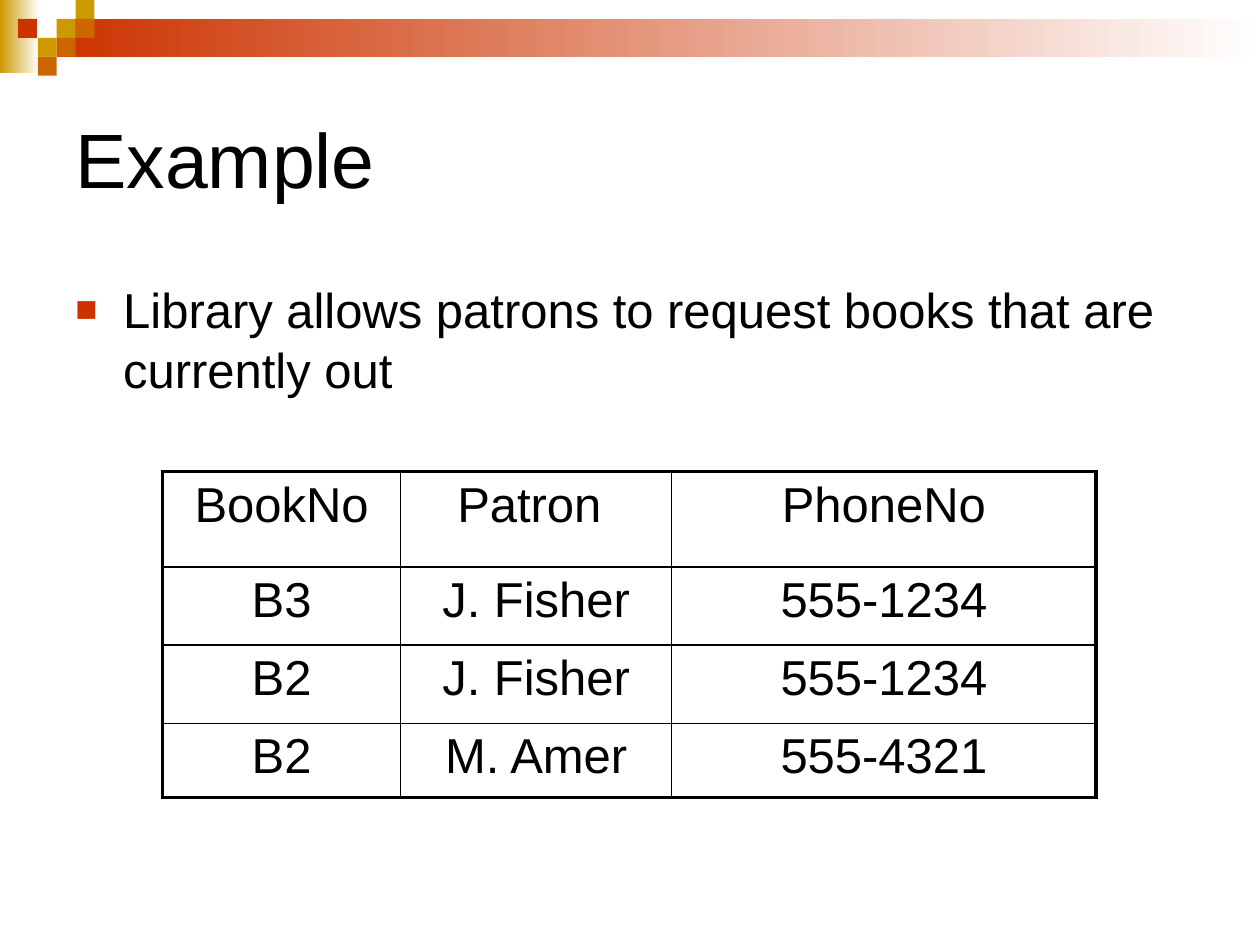
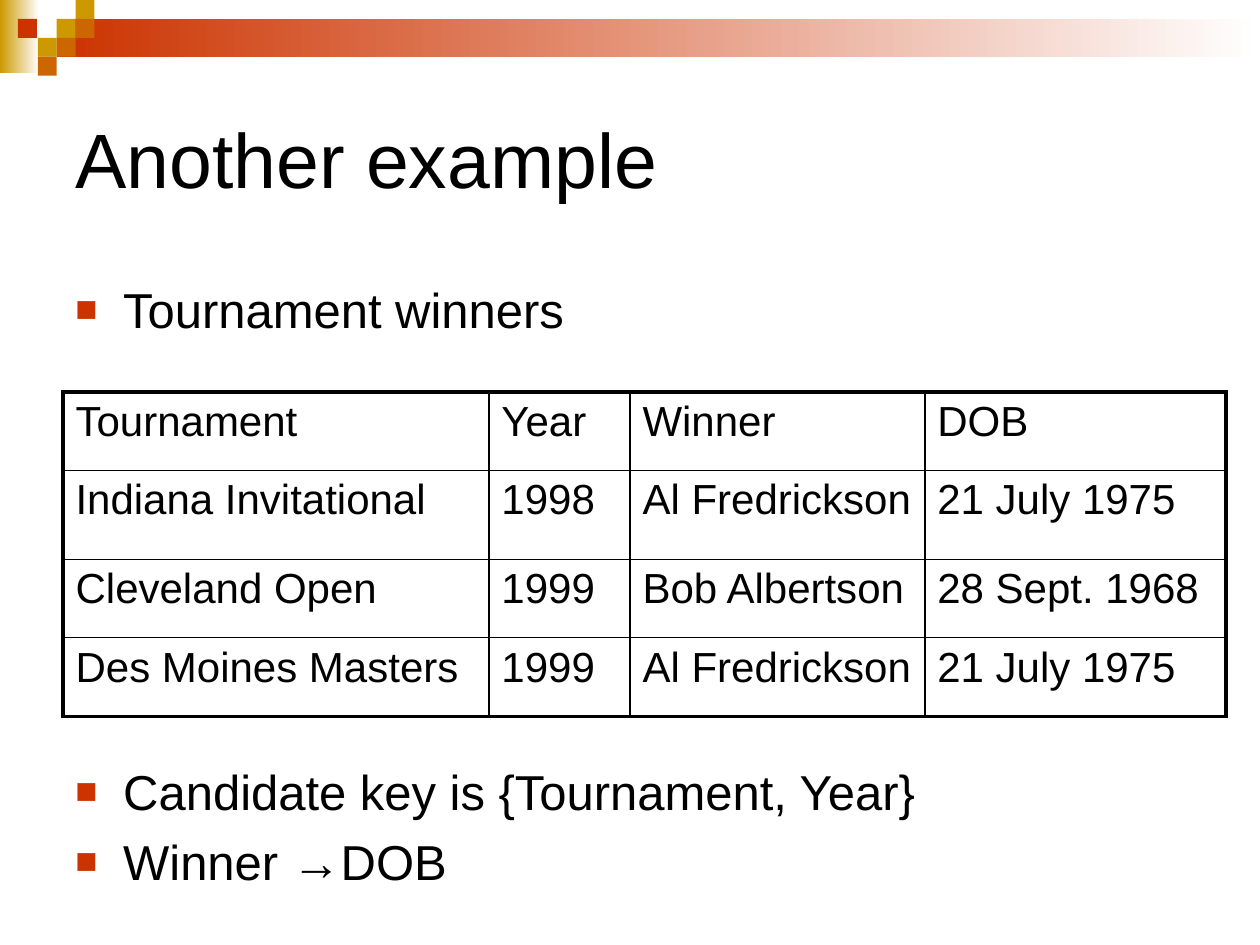
from lxml import etree
from pptx import Presentation
from pptx.dml.color import RGBColor
from pptx.enum.shapes import MSO_SHAPE
from pptx.enum.text import MSO_ANCHOR, PP_ALIGN
from pptx.oxml.ns import qn
from pptx.util import Inches, Pt

RECT = MSO_SHAPE.RECTANGLE
TOP, MIDDLE = MSO_ANCHOR.TOP, MSO_ANCHOR.MIDDLE
LEFT, CENTER = PP_ALIGN.LEFT, PP_ALIGN.CENTER

BLACK = RGBColor(0x00, 0x00, 0x00)
WHITE = RGBColor(0xFF, 0xFF, 0xFF)
GOLD = RGBColor(0xCC, 0x99, 0x00)
ORANGE = RGBColor(0xCC, 0x66, 0x00)
RED = RGBColor(0xCC, 0x33, 0x00)

FONT = "Arial"
WIDTH, HEIGHT = Inches(10), Inches(7.5)
OUTER, INNER = 2.25, 1  # table line widths in points

# Boxes are left, top, width, height as shares of the slide
TITLE_BOX = (0.05, 0.067, 0.9, 0.2)
BODY_BOX = (0.05, 0.289, 0.9, 0.2)
NOTES_BOX = (0.05, 0.799, 0.9, 0.17)

# Header tiles: column, row, colour on a grid of small squares
TILE_W, TILE_H = 0.015, 0.02
TILES = [(3, 1, GOLD), (4, 0, GOLD), (4, 1, ORANGE), (2, 2, GOLD),
         (0.95, 1, RED), (3, 2, ORANGE), (2, 3, ORANGE)]


def place(box):
    """Turn shares of the slide into lengths."""
    x, y, w, h = box
    return (round(x * WIDTH), round(y * HEIGHT),
            round(w * WIDTH), round(h * HEIGHT))


def add_text(tf, text, size=28, color=BLACK, align=LEFT, first=True,
             before=0, line=None):
    p = tf.paragraphs[0] if first else tf.add_paragraph()
    p.alignment = align
    p.space_before = Pt(before)
    if line:
        p.line_spacing = Pt(line)
    r = p.add_run()
    r.text = text
    r.font.name, r.font.size, r.font.color.rgb = FONT, Pt(size), color
    return p


def add_frame(slide, box, anchor=TOP):
    tf = slide.shapes.add_textbox(*place(box)).text_frame
    tf.word_wrap = True
    tf.vertical_anchor = anchor
    return tf


def add_block(slide, box, color, fade=False):
    sp = slide.shapes.add_shape(RECT, *place(box))
    sp.shadow.inherit = False
    sp.line.fill.background()
    if fade:
        sp.fill.gradient()
        sp.fill.gradient_angle = 0
        for stop, shade, pos in zip(sp.fill.gradient_stops, (color, WHITE), (0, 1)):
            stop.color.rgb = shade
            stop.position = pos
    else:
        sp.fill.solid()
        sp.fill.fore_color.rgb = color


def add_header(slide):
    add_block(slide, (0, 0, 0.031, 0.077), GOLD, fade=True)
    band_left = 3 * TILE_W
    add_block(slide, (band_left, TILE_H, 1 - band_left, 2 * TILE_H), RED, fade=True)
    for col, row, color in TILES:
        add_block(slide, (col * TILE_W, row * TILE_H, TILE_W, TILE_H), color)


def add_bullets(slide, box, lines):
    tf = add_frame(slide, box)
    for i, text in enumerate(lines):
        p = add_text(tf, text, first=i == 0, before=5.6, line=34)
        pPr = p._p.get_or_add_pPr()
        pPr.set("marL", str(Inches(0.38)))
        pPr.set("indent", str(-Inches(0.38)))
        color = etree.SubElement(pPr, qn("a:buClr"))
        etree.SubElement(color, qn("a:srgbClr"), val=str(RED))
        etree.SubElement(pPr, qn("a:buSzPct"), val="75000")
        etree.SubElement(pPr, qn("a:buFont"), typeface=FONT)
        etree.SubElement(pPr, qn("a:buChar"), char="■")


def set_borders(cell, widths):
    """Add left, right, top and bottom lines ahead of the cell's fill."""
    tcPr = cell._tc.get_or_add_tcPr()
    for i, (side, width) in enumerate(zip("LRTB", widths)):
        ln = etree.Element(qn(f"a:ln{side}"), w=str(Pt(width)))
        fill = etree.SubElement(ln, qn("a:solidFill"))
        etree.SubElement(fill, qn("a:srgbClr"), val=str(BLACK))
        tcPr.insert(i, ln)


def add_grid(slide, box, cols, rows, data, size, align=LEFT):
    """Draw a table whose columns and rows share the box by weight."""
    x, y, w, h = place(box)
    table = slide.shapes.add_table(len(rows), len(cols), x, y, w, h).table
    table.first_row = table.horz_banding = False
    for column, weight in zip(table.columns, cols):
        column.width = round(w * weight / sum(cols))
    for row, weight in zip(table.rows, rows):
        row.height = round(h * weight / sum(rows))
    last_row, last_col = len(rows) - 1, len(cols) - 1
    for i, values in enumerate(data):
        for j, text in enumerate(values):
            cell = table.cell(i, j)
            cell.fill.background()
            add_text(cell.text_frame, text, size=size, align=align)
            edges = (j == 0, j == last_col, i == 0, i == last_row)
            set_borders(cell, [OUTER if edge else INNER for edge in edges])


def add_slide(prs, title, bullets):
    slide = prs.slides.add_slide(prs.slide_layouts[6])
    add_header(slide)
    add_text(add_frame(slide, TITLE_BOX, MIDDLE), title, size=44)
    add_bullets(slide, BODY_BOX, bullets)
    return slide


def library_slide(prs):
    slide = add_slide(prs, "Example", [
        "Library allows patrons to request books that are currently out"])
    requests = [("BookNo", "Patron ", "PhoneNo"),
                ("B3", "J. Fisher", "555-1234"),
                ("B2", "J. Fisher", "555-1234"),
                ("B2", "M. Amer", "555-4321")]
    add_grid(slide, (0.129, 0.499, 0.741, 0.345), (1.89, 2.15, 3.37),
             (0.76, 0.62, 0.62, 0.59), requests, size=28, align=CENTER)


def tournament_slide(prs):
    slide = add_slide(prs, "Another example", ["Tournament winners"])
    winners = [("Tournament", "Year", "Winner", "DOB"),
               ("Indiana Invitational", "1998", "Al Fredrickson", "21 July 1975"),
               ("Cleveland Open", "1999", "Bob Albertson", "28 Sept. 1968"),
               ("Des Moines Masters", "1999", "Al Fredrickson", "21 July 1975")]
    add_grid(slide, (0.05, 0.415, 0.923, 0.343), (3.38, 1.12, 2.34, 2.39),
             (0.62, 0.7, 0.62, 0.62), winners, size=24)
    add_bullets(slide, NOTES_BOX, [
        "Candidate key is {Tournament, Year}", "Winner →DOB"])


def main():
    prs = Presentation()
    prs.slide_width, prs.slide_height = WIDTH, HEIGHT
    library_slide(prs)
    tournament_slide(prs)
    prs.save("out.pptx")


if __name__ == "__main__":
    main()
